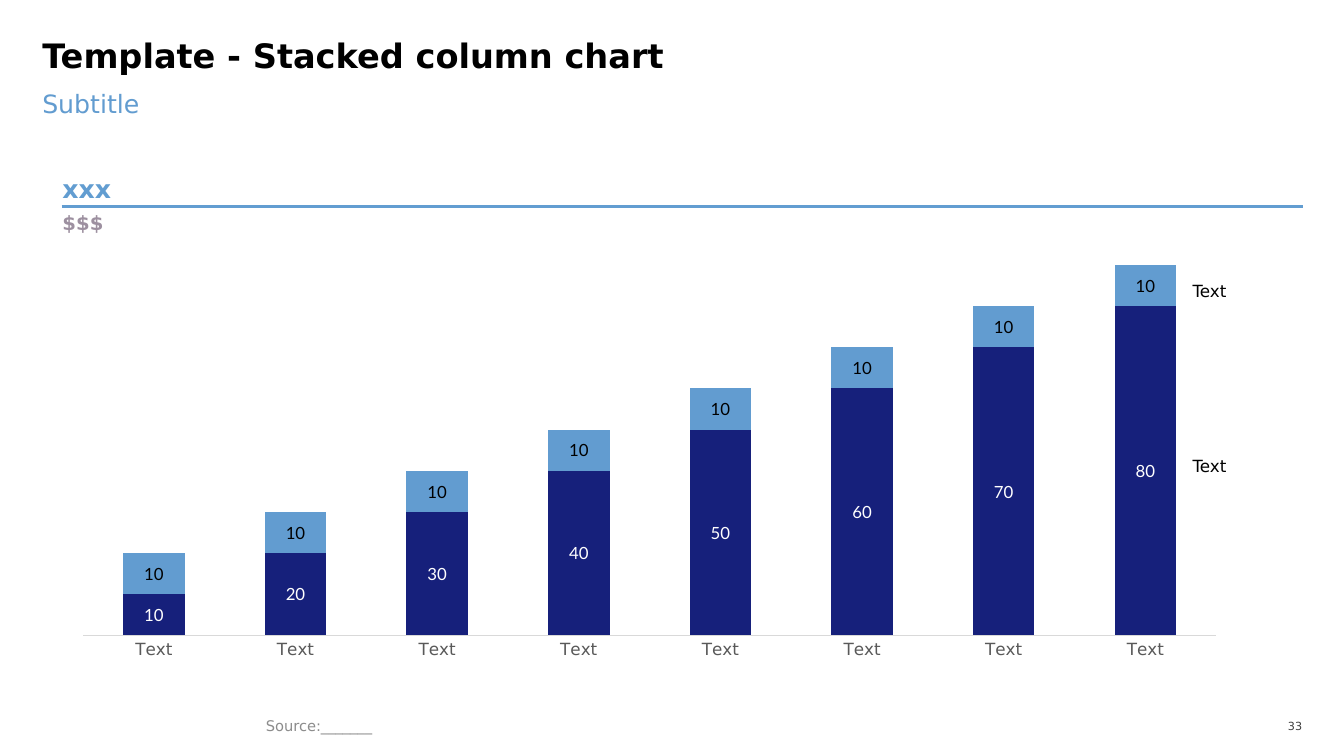
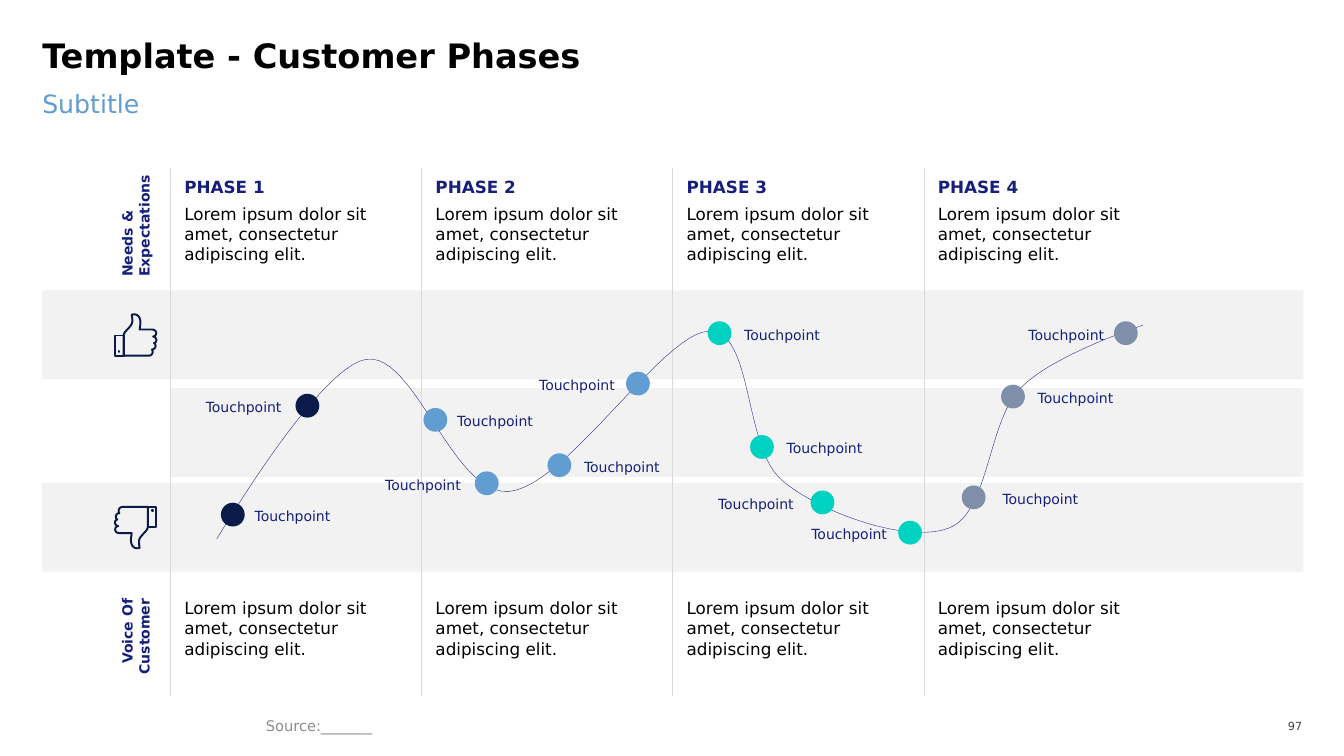
import lxml.etree
import pptx
import pptx.chart.data
import pptx.dml.color
import pptx.enum.chart
import pptx.enum.shapes
import pptx.enum.text
import pptx.oxml.ns
import pptx.util

Pt = pptx.util.Pt
ALIGN = pptx.enum.text.PP_ALIGN
ANCHOR = pptx.enum.text.MSO_ANCHOR
SHAPE = pptx.enum.shapes.MSO_SHAPE

FONT, CHART_FONT = "DejaVu Sans", "Lato"
COLORS = {
    "black": "000000", "white": "FFFFFF", "blue": "629DD1", "sky": "629CD0",
    "indigo": "16207B", "navy": "0A1A49", "teal": "00D2C2", "slate": "7F8FA9",
    "mauve": "9D90A0", "band": "F2F2F2", "rule": "D9D9D9", "axis": "595959",
    "source": "8C8C8C", "number": "404040",
}
LOREM = "Lorem ipsum dolor sit amet, consectetur adipiscing elit."

JOURNEY = [
    (124.8, 177.5),
    (124.8, 178.2), (196.8, 55.1), (231.4, 49.3),
    (266.6, 43.6), (293.3, 147.2), (333.6, 143.6),
    (374.6, 140), (443.8, 29.9), (476.2, 29.2),
    (508.6, 27.7), (500.6, 113.4), (529.4, 136.4),
    (558.2, 160.2), (620.2, 181.1), (648.2, 169.6),
    (676.3, 158.8), (675.6, 94), (698.6, 70.2),
    (721.7, 45.7), (787.2, 24.8), (786.5, 24.8),
]
TOUCHPOINTS = {
    "navy": [(136.3, 160.2, 12), (189.6, 82.4, -15)],
    "blue": [(281, 92.5, 12), (317.7, 137.8, -15), (369.6, 124.9, 14), (425.7, 66.6, -13)],
    "teal": [(484, 30.6, 14), (514.3, 111.9, 14), (557.5, 151.5, -17), (620.1, 173.1, -13)],
    "slate": [(665.5, 147.9, 17), (693.6, 75.9, 14), (774.2, 30.6, -12)],
}
CUFF = [(0.7, 15.8), (6.9, 15.8), (6.9, 30.2), (0.7, 30.2)]
DOT = [(3.3, 27.1), (3.9, 27.1), (3.9, 27.7), (3.3, 27.7)]
HAND = [
    (6.9, 15.8),
    (7, 14.5), (8, 13), (9.3, 11.8),
    (11, 10), (12.6, 8.2), (13, 6.8),
    (13.4, 5.2), (13, 2.8), (12.7, 1.2),
    (13, 0.7), (14, 0.6), (15, 0.7),
    (17.2, 0.9), (18.8, 3), (18.9, 6),
    (19, 8.5), (18.4, 10), (18.4, 11.5),
    (21, 11.5), (24, 11.5), (27.4, 11.5),
    (31, 11.6), (31, 16.2), (28, 16.5),
    (31, 17), (31, 20.8), (28.6, 21.2),
    (30.5, 22.2), (30, 25.6), (27.2, 25.8),
    (28.5, 28), (27, 30.2), (24.8, 30.2),
    (18, 30.2), (12, 30.2), (6.9, 30.2),
]


def rgb(name):
    """Return the named colour."""
    return pptx.dml.color.RGBColor.from_string(COLORS[name])


def pts(*values):
    """Convert numbers to point lengths."""
    return [Pt(v) for v in values]


def style_font(font, size, color, name=FONT, bold=False):
    """Set size, colour, face and weight of a font."""
    font.size, font.name, font.bold = Pt(size), name, bold
    font.color.rgb = rgb(color)


def add_text(s, box, lines, size, color="black", bold=False,
             align=ALIGN.LEFT, anchor=ANCHOR.TOP, spacing=None):
    """Add a text box without insets, one paragraph for each line."""
    sp = s.shapes.add_textbox(*pts(*box))
    tf = sp.text_frame
    tf.word_wrap, tf.vertical_anchor = True, anchor
    tf.margin_left = tf.margin_top = tf.margin_right = tf.margin_bottom = 0
    for i, line in enumerate(lines):
        p = tf.add_paragraph() if i else tf.paragraphs[0]
        p.alignment, p.line_spacing = align, spacing
        r = p.add_run()
        r.text = line
        style_font(r.font, size, color, bold=bold)
    return sp


def add_shape(s, kind, box, color):
    """Add a flat filled shape."""
    sp = s.shapes.add_shape(kind, *pts(*box))
    sp.shadow.inherit = False
    sp.fill.solid()
    sp.fill.fore_color.rgb = rgb(color)
    sp.line.fill.background()


def add_line(s, ends, color, width):
    """Add a straight line without a shadow."""
    sp = s.shapes.add_connector(pptx.enum.shapes.MSO_CONNECTOR.STRAIGHT, *pts(*ends))
    sp.line.color.rgb, sp.line.width = rgb(color), Pt(width)
    lxml.etree.SubElement(sp._element.spPr, pptx.oxml.ns.qn("a:effectLst"))


def bezier(points, steps=24):
    """Sample a chain of cubic curves."""
    out = [points[0]]
    for i in range(0, len(points) - 1, 3):
        a, b, c, d = points[i:i + 4]
        for k in range(1, steps + 1):
            t = k / steps
            u = 1 - t
            out.append(tuple(
                u ** 3 * a[j] + 3 * u * u * t * b[j] + 3 * u * t * t * c[j] + t ** 3 * d[j]
                for j in (0, 1)))
    return out


def add_outline(s, x, y, contours, color, width, close):
    """Draw contours, relative to a corner, as one unfilled shape."""
    moved = [[pts(x + px, y + py) for px, py in c] for c in contours]
    builder = s.shapes.build_freeform(*moved[0][0])
    for i, contour in enumerate(moved):
        if i:
            builder.move_to(*contour[0])
        builder.add_line_segments(contour[1:], close=close)
    sp = builder.convert_to_shape()
    sp.shadow.inherit = False
    sp.fill.background()
    sp.line.color.rgb, sp.line.width = rgb(color), Pt(width)
    return sp


def add_frame(prs, title, number):
    """Add a slide with title, subtitle, source and number."""
    s = prs.slides.add_slide(prs.slide_layouts[6])
    add_text(s, (30.2, 30.2, 899, 38), [title], 24, bold=True, spacing=0.8)
    add_text(s, (30.2, 63.4, 899, 45), ["Subtitle"], 18, "sky")
    add_text(s, (190, 509, 446, 18.7), ["Source:_______"], 10.5, "source",
             anchor=ANCHOR.MIDDLE)
    add_text(s, (900, 510.5, 30.2, 16.6), [number], 8, "number",
             align=ALIGN.RIGHT, anchor=ANCHOR.MIDDLE)
    return s


def add_heading(s, box):
    """Add the chart heading, its rule and its unit."""
    x, y, w, h = box
    add_text(s, (x + 0.6, y, 211, 24.5), ["xxx"], 18, "blue", True, anchor=ANCHOR.BOTTOM)
    add_line(s, (x, y + 26.6, x + w, y + 26.6), "blue", 2.25)
    add_text(s, (x + 0.6, y + 29.5, 95, h - 29.5), ["$$$"], 14, "mauve", True)


def add_columns(s, box):
    """Add the stacked columns and their series names."""
    x, y, w, h = box
    data = pptx.chart.data.CategoryChartData()
    data.categories = ["Text"] * 8
    data.add_series("Series 1", range(10, 90, 10))
    data.add_series("Series 2", [10] * 8)
    chart = s.shapes.add_chart(
        pptx.enum.chart.XL_CHART_TYPE.COLUMN_STACKED, *pts(*box), data).chart
    chart.has_legend = chart.has_title = False
    style_font(chart.font, 12, "black", CHART_FONT)
    val, cat = chart.value_axis, chart.category_axis
    val.visible = val.has_major_gridlines = False
    val.minimum_scale, val.maximum_scale = 0, 100
    cat.major_tick_mark = pptx.enum.chart.XL_TICK_MARK.NONE
    style_font(cat.tick_labels.font, 12, "axis")
    cat.format.line.color.rgb, cat.format.line.width = rgb("rule"), Pt(0.75)
    plot = chart.plots[0]
    plot.gap_width, plot.overlap, plot.vary_by_categories = 130, 100, False
    for series, fill, ink in zip(plot.series, ("indigo", "sky"), ("white", "black")):
        series.format.fill.solid()
        series.format.fill.fore_color.rgb = rgb(fill)
        labels = series.data_labels
        labels.show_value = True
        style_font(labels.font, 12, ink, CHART_FONT)
    for top in (47.5, 172):
        add_text(s, (x + w - 33.8, y + top, 106, 14.4), ["Text"], 12, anchor=ANCHOR.MIDDLE)


def add_row_label(s, box, lines, align):
    """Add a label that reads upwards inside the box."""
    x, y, w, h = box
    turned = (x + (w - h) / 2, y + (h - w) / 2, h, w)
    sp = add_text(s, turned, lines, 10, "indigo", True, align, ANCHOR.MIDDLE)
    sp.rotation = 270


def add_phase(s, box, name):
    """Add one phase column with its rule and texts."""
    x, y, w, h = box
    add_line(s, (x, y, x, y + h), "rule", 0.25)
    add_text(s, (x + 10, y + 5.7, 116, 18), [name], 12, "indigo", True)
    for top in (25.2, 306.9):
        add_text(s, (x + 10, y + top, 160, 60), [LOREM], 12)


def add_bands(s, box):
    """Add the three mood bands."""
    x, y, w, h = box
    for left, top in ((0, 0), (91.7, 69.8), (0, h - 63.4)):
        add_shape(s, SHAPE.RECTANGLE, (x + left, y + top, w - left, 63.4), "band")


def add_thumb(s, x, y, rotation):
    """Add a thumb icon, turned by the given angle."""
    sp = add_outline(s, x, y, [bezier(HAND, 8), CUFF, DOT], "navy", 1.4, True)
    sp.rotation = rotation


def add_journey(s, box):
    """Add the curve with its touchpoints and their labels."""
    x, y, w, h = box
    add_outline(s, x, y, [bezier(JOURNEY)], "indigo", 0.25, False)
    size, width = 17, 60
    for color, points in TOUCHPOINTS.items():
        for cx, cy, gap in points:
            add_shape(s, SHAPE.OVAL, (x + cx - size / 2, y + cy - size / 2, size, size), color)
            pad = 3.6 if gap > 0 else -3.6 - width
            align = ALIGN.LEFT if gap > 0 else ALIGN.RIGHT
            add_text(s, (x + cx + gap + pad, y + cy - 7, width, 16), ["Touchpoint"], 10,
                     "indigo", align=align, anchor=ANCHOR.MIDDLE)


def chart_slide(prs):
    """Build the stacked column slide."""
    s = add_frame(prs, "Template - Stacked column chart", "33")
    add_heading(s, (44, 121, 887, 54))
    add_columns(s, (42.5, 153.4, 843.1, 324))


def phases_slide(prs):
    """Build the customer phases slide."""
    s = add_frame(prs, "Template - Customer Phases", "97")
    mood = (30, 207.4, 901, 200.9)
    add_bands(s, mood)
    for i in range(4):
        add_phase(s, (121.7 + 179.4 * i, 120.2, 179.4, 376.6), f"PHASE {i + 1}")
    add_thumb(s, 81.4, 223.9, 0)
    add_thumb(s, 81.4, 361.4, 180)
    add_row_label(s, (81, 117.6, 31.7, 80), ["Needs &", "Expectations"], ALIGN.LEFT)
    add_row_label(s, (81, 427.7, 31.7, 80), ["Voice Of", "Customer"], ALIGN.RIGHT)
    add_journey(s, mood)


def main():
    """Build and save the presentation."""
    prs = pptx.Presentation()
    prs.slide_width, prs.slide_height = pts(960, 540)
    chart_slide(prs)
    phases_slide(prs)
    prs.save("out.pptx")


if __name__ == "__main__":
    main()
